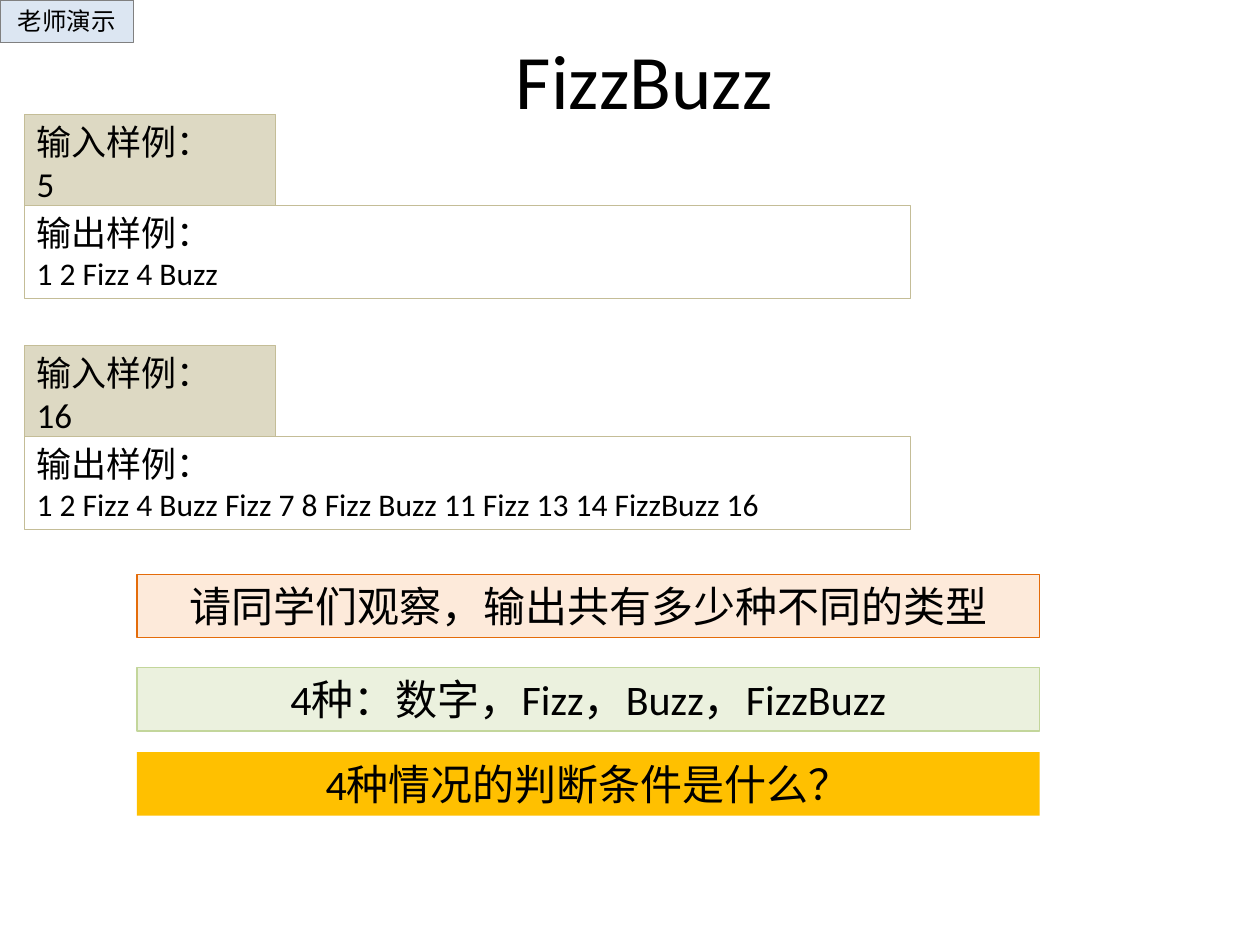
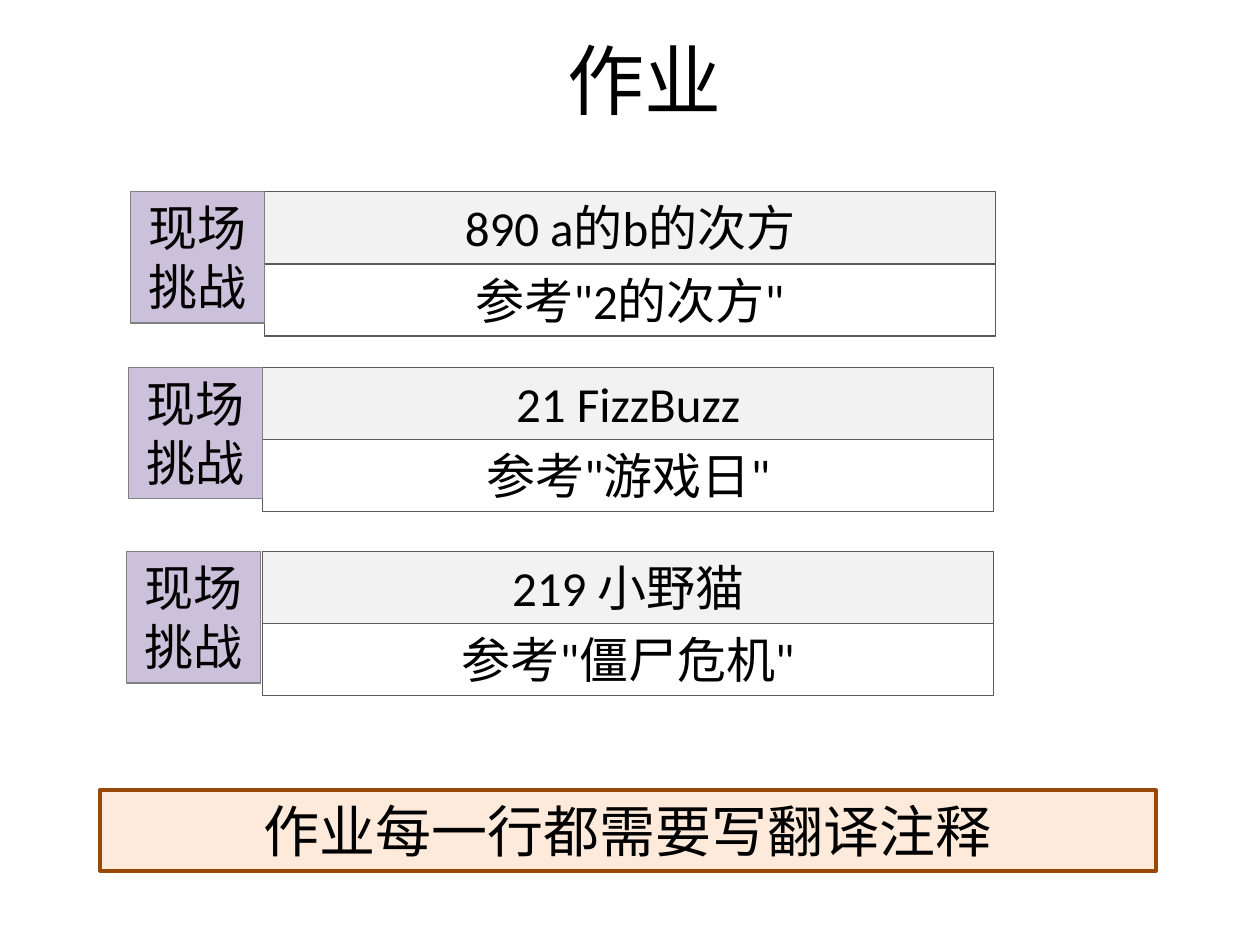
from pptx import Presentation
from pptx.dml.color import RGBColor
from pptx.enum import shapes, text
from pptx.util import Pt

FONT = "Calibri"
COLORS = {
    "text": "000000", "white": "FFFFFF", "gray": "808080",
    "input": "DDD9C3", "sample_line": "C4BD97",
    "tag": "DCE6F2", "peach": "FDEADA", "orange": "E46C0A", "brown": "984807",
    "green": "EBF1DE", "green_line": "C3D69B", "gold": "FFC000",
    "task": "F2F2F2", "task_line": "595959", "challenge": "CCC1DA",
}
LEFT, CENTER = text.PP_ALIGN.LEFT, text.PP_ALIGN.CENTER


def rgb(name):
    return RGBColor.from_string(COLORS[name])


def add_text(p, words, size, align):
    p.alignment = align
    r = p.add_run()
    r.text = words
    r.font.size = Pt(size)
    r.font.name = FONT
    r.font.color.rgb = rgb("text")


def add_titled_slide(prs, title):
    s = prs.slides.add_slide(prs.slide_layouts[5])
    sp = s.shapes.title
    sp.left, sp.top, sp.width, sp.height = Pt(16.5), Pt(0), Pt(703.5), Pt(90)
    sp.text_frame.vertical_anchor = text.MSO_ANCHOR.MIDDLE
    add_text(sp.text_frame.paragraphs[0], title, 44, CENTER)
    return s


def add_box(s, box, lines, fill, line=None, weight=0.75, align=CENTER):
    """Add a rectangle; lines holds one (words, size) pair per paragraph."""
    sp = s.shapes.add_shape(shapes.MSO_SHAPE.RECTANGLE, *map(Pt, box))
    sp.shadow.inherit = False
    sp.fill.solid()
    sp.fill.fore_color.rgb = rgb(fill)
    if line:
        sp.line.color.rgb = rgb(line)
        sp.line.width = Pt(weight)
    else:
        sp.line.fill.background()
    tf = sp.text_frame
    tf.word_wrap = True
    tf.vertical_anchor = text.MSO_ANCHOR.TOP
    tf.auto_size = text.MSO_AUTO_SIZE.SHAPE_TO_FIT_TEXT
    for i, (words, size) in enumerate(lines):
        p = tf.add_paragraph() if i else tf.paragraphs[0]
        add_text(p, words, size, align)


def add_sample(s, top, given, expected):
    """Add an input box with its output box below."""
    left = 13.9
    add_box(s, (left, top, 143.7, 55.7), [("输入样例：", 20), (given, 20)],
            "input", "sample_line", align=LEFT)
    add_box(s, (left, top + 52.2, 506.6, 53.3), [("输出样例：", 20), (expected, 18)],
            "white", "sample_line", align=LEFT)


def add_banner(s, top, words, fill, line=None):
    add_box(s, (78.3, top, 515.8, 36.35), [(words, 24)], fill, line)


def add_homework(s, label_left, left, top, task, hint):
    """Add a challenge label beside a task and its reference."""
    height = 41.2
    for i, (words, fill) in enumerate([(task, "task"), (hint, "white")]):
        add_box(s, (left, top + i * height, 417.6, height), [(words, 28)],
                fill, "task_line")
    add_box(s, (label_left, top, 76.5, 75.1), [("现场挑战", 28)], "challenge", "gray")


def build_fizzbuzz(prs):
    s = add_titled_slide(prs, "FizzBuzz")
    add_sample(s, 65.3, "5", "1 2 Fizz 4 Buzz")
    add_sample(s, 197.3, "16",
               "1 2 Fizz 4 Buzz Fizz 7 8 Fizz Buzz 11 Fizz 13 14 FizzBuzz 16")
    add_box(s, (0, 0, 76.3, 24.2), [("老师演示", 14)], "tag", "gray")
    add_banner(s, 328.2, "请同学们观察，输出共有多少种不同的类型", "peach", "orange")
    add_banner(s, 381.4, "4种：数字，Fizz，Buzz，FizzBuzz", "green", "green_line")
    add_banner(s, 429.8, "4种情况的判断条件是什么？", "gold")


def build_homework(prs):
    s = add_titled_slide(prs, "作业")
    add_homework(s, 74.5, 151.2, 109.6, "890 a的b的次方", '参考"2的次方"')
    add_homework(s, 73.4, 150.2, 210, "21 FizzBuzz", '参考"游戏日"')
    add_homework(s, 72.4, 150.2, 315.2, "219 小野猫", '参考"僵尸危机"')
    add_box(s, (57, 451.5, 603.4, 46), [("作业每一行都需要写翻译注释", 32)],
            "peach", "brown", 2.25)


def main():
    prs = Presentation()
    prs.slide_width, prs.slide_height = Pt(720), Pt(540)
    build_fizzbuzz(prs)
    build_homework(prs)
    prs.save("out.pptx")


if __name__ == "__main__":
    main()
